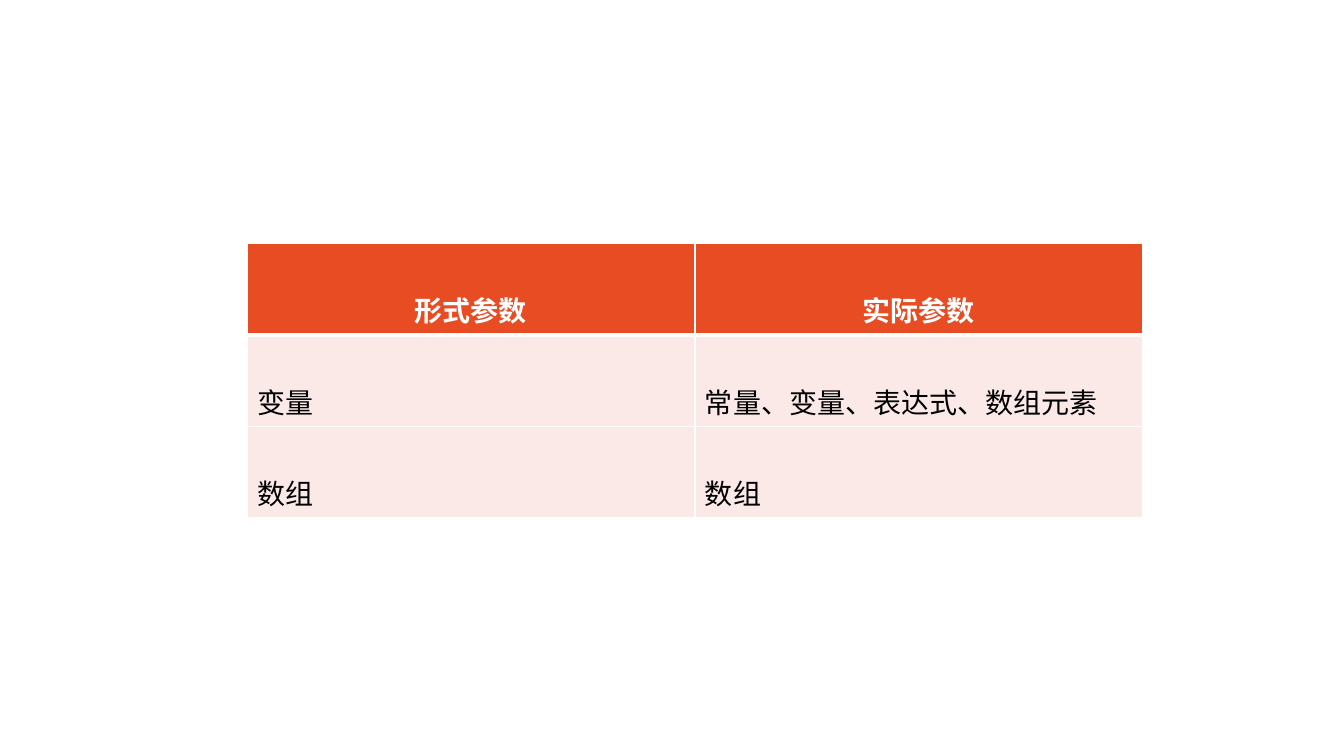
from dataclasses import dataclass

from lxml.etree import SubElement
from pptx import Presentation
from pptx.dml.color import RGBColor
from pptx.enum.text import MSO_ANCHOR, PP_ALIGN
from pptx.oxml.ns import qn
from pptx.util import Pt


@dataclass(frozen=True)
class Theme:
    font: str = "Noto Sans CJK SC"
    size: int = 20
    header: str = "E84C22"
    body: str = "FBE9E8"
    white: str = "FFFFFF"
    black: str = "000000"
    rule: int = 1
    header_rule: int = 3


THEME = Theme()
ROWS = [
    ("形式参数", "实际参数"),
    ("变量", "常量、变量、表达式、数组元素"),
    ("数组", "数组"),
]


def set_borders(cell, bottom, top):
    tcPr = cell._tc.get_or_add_tcPr()
    widths = {"a:lnL": THEME.rule, "a:lnR": THEME.rule, "a:lnT": top, "a:lnB": bottom}
    for tag, width in widths.items():
        ln = SubElement(tcPr, qn(tag), w=str(Pt(width)))
        fill = SubElement(ln, qn("a:solidFill"))
        SubElement(fill, qn("a:srgbClr"), val=THEME.white)


def set_font(p, color, bold):
    font = p.font
    font.size = Pt(THEME.size)
    font.bold = bold
    font.color.rgb = RGBColor.from_string(color)
    font.name = THEME.font
    SubElement(p._p.pPr.find(qn("a:defRPr")), qn("a:ea"), typeface=THEME.font)


def fill_cell(cell, text, row):
    is_header = row == 0
    set_borders(
        cell,
        bottom=THEME.header_rule if is_header else THEME.rule,
        top=THEME.header_rule if row == 1 else THEME.rule,
    )
    cell.fill.solid()
    cell.fill.fore_color.rgb = RGBColor.from_string(THEME.header if is_header else THEME.body)
    cell.vertical_anchor = MSO_ANCHOR.MIDDLE
    p = cell.text_frame.paragraphs[0]
    p.text = text
    p.line_spacing = 2.0
    p.alignment = PP_ALIGN.CENTER if is_header else PP_ALIGN.LEFT
    set_font(p, THEME.white if is_header else THEME.black, is_header)


def add_parameter_table(s, left, top, col_width, row_height):
    columns = len(ROWS[0])
    frame = s.shapes.add_table(
        len(ROWS), columns, Pt(left), Pt(top),
        Pt(col_width * columns), Pt(row_height * len(ROWS)),
    )
    for i, texts in enumerate(ROWS):
        for j, text in enumerate(texts):
            fill_cell(frame.table.cell(i, j), text, i)


def main():
    prs = Presentation()
    prs.slide_width, prs.slide_height = Pt(960), Pt(540)
    s = prs.slides.add_slide(prs.slide_layouts[6])
    add_parameter_table(s, left=176.4, top=174, col_width=320, row_height=65)
    prs.save("out.pptx")


if __name__ == "__main__":
    main()
